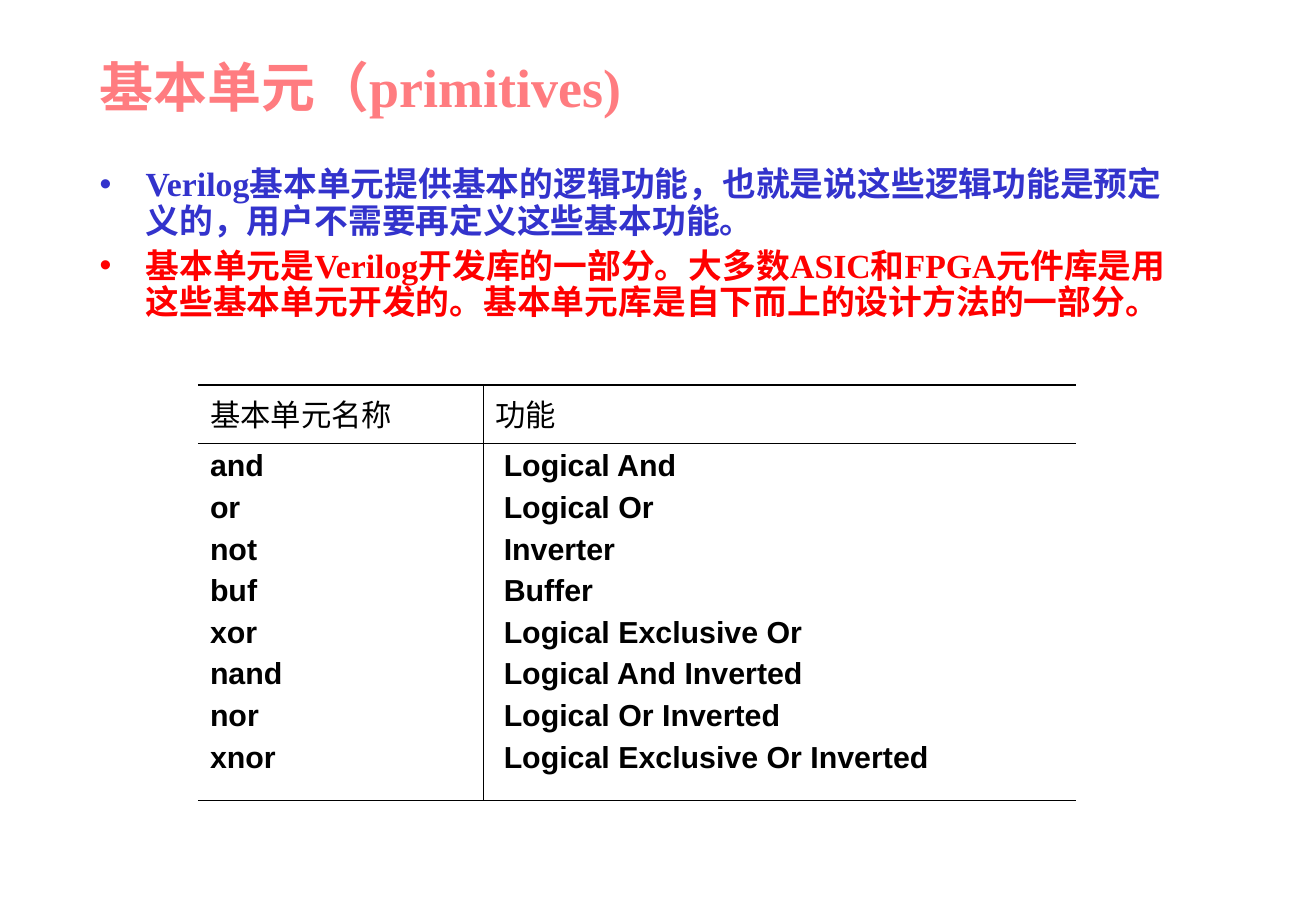
from dataclasses import dataclass

from lxml import etree
from pptx import Presentation
from pptx import util as u
from pptx.dml.color import RGBColor
from pptx.enum import text
from pptx.oxml import ns


@dataclass(frozen=True)
class Theme:
    serif: str = "Times New Roman"
    sans: str = "Arial"
    title_color: str = "FF7C80"
    blue: str = "3333CC"
    red: str = "FF0000"
    black: str = "000000"
    title_size: int = 32
    body_size: int = 20
    table_size: int = 18
    thin_line: float = 0.45
    thick_line: float = 1.08


@dataclass(frozen=True)
class Bullet:
    words: str
    color: str


@dataclass(frozen=True)
class TextStyle:
    font: str
    size: int
    color: str
    bold: bool = True


@dataclass(frozen=True)
class Primitive:
    name: str
    function: str


THEME = Theme()
TITLE_STYLE = TextStyle(THEME.serif, THEME.title_size, THEME.title_color)
HEADER_STYLE = TextStyle(THEME.serif, THEME.table_size, THEME.black, bold=False)
ENTRY_STYLE = TextStyle(THEME.sans, THEME.table_size, THEME.black)

BULLETS = [
    Bullet("Verilog基本单元提供基本的逻辑功能，也就是说这些逻辑功能是预定义的，"
           "用户不需要再定义这些基本功能。", THEME.blue),
    Bullet("基本单元是Verilog开发库的一部分。大多数ASIC和FPGA元件库是用这些基本单元开发的。"
           "基本单元库是自下而上的设计方法的一部分。", THEME.red),
]
PRIMITIVES = [
    Primitive("and", "Logical And"),
    Primitive("or", "Logical Or"),
    Primitive("not", "Inverter"),
    Primitive("buf", "Buffer"),
    Primitive("xor", "Logical Exclusive Or"),
    Primitive("nand", "Logical And Inverted"),
    Primitive("nor", "Logical Or Inverted"),
    Primitive("xnor", "Logical Exclusive Or Inverted"),
]


def place(shape, left: float, top: float, width: float, height: float) -> None:
    shape.left, shape.top = u.Inches(left), u.Inches(top)
    shape.width, shape.height = u.Inches(width), u.Inches(height)


def add_run(paragraph, words: str, style: TextStyle) -> None:
    run = paragraph.add_run()
    run.text = words
    run.font.name = style.font
    run.font.size = u.Pt(style.size)
    run.font.bold = style.bold
    run.font.color.rgb = RGBColor.from_string(style.color)


def next_paragraph(frame, index: int, space_before: float):
    paragraph = frame.add_paragraph() if index else frame.paragraphs[0]
    paragraph.space_before = u.Pt(space_before if index else 0)
    return paragraph


def set_bullet(paragraph, color: str, indent: float) -> None:
    properties = paragraph._p.get_or_add_pPr()
    properties.set("marL", str(u.Inches(indent)))
    properties.set("indent", str(-u.Inches(indent)))
    bullet_color = etree.SubElement(properties, ns.qn("a:buClr"))
    etree.SubElement(bullet_color, ns.qn("a:srgbClr"), val=color)
    etree.SubElement(properties, ns.qn("a:buChar"), char="•")


def set_borders(cell, widths: dict[str, float]) -> None:
    properties = cell._tc.get_or_add_tcPr()
    for side in "LRTB":
        width = widths.get(side, 0)
        line = etree.SubElement(properties, ns.qn(f"a:ln{side}"), w=str(u.Pt(width)))
        if width:
            fill = etree.SubElement(line, ns.qn("a:solidFill"))
            etree.SubElement(fill, ns.qn("a:srgbClr"), val=THEME.black)
        else:
            etree.SubElement(line, ns.qn("a:noFill"))


def fill_cell(cell, lines: list[str], style: TextStyle,
              borders: dict[str, float], left_margin: float = 0.1) -> None:
    set_borders(cell, borders)
    cell.fill.background()
    cell.margin_left, cell.margin_right = u.Inches(left_margin), u.Inches(0.1)
    cell.margin_top = cell.margin_bottom = u.Inches(0.05)
    for index, words in enumerate(lines):
        add_run(next_paragraph(cell.text_frame, index, 4.5), words, style)


def add_title(slide) -> None:
    title = slide.shapes.title
    place(title, 0.72, 0.08, 10.11, 1.25)
    frame = title.text_frame
    frame.auto_size = text.MSO_AUTO_SIZE.NONE
    frame.vertical_anchor = text.MSO_ANCHOR.MIDDLE
    frame.paragraphs[0].alignment = text.PP_ALIGN.LEFT
    add_run(frame.paragraphs[0], "基本单元（primitives)", TITLE_STYLE)


def add_bullets(slide) -> None:
    body = slide.placeholders[1]
    place(body, 0.72, 1.33, 9.21, 1.42)
    frame = body.text_frame
    frame.auto_size = text.MSO_AUTO_SIZE.NONE
    for index, bullet in enumerate(BULLETS):
        paragraph = next_paragraph(frame, index, 5)
        set_bullet(paragraph, bullet.color, 0.38)
        paragraph.line_spacing = 0.9
        add_run(paragraph, bullet.words,
                TextStyle(THEME.serif, THEME.body_size, bullet.color))


def add_primitive_table(slide) -> None:
    frame = slide.shapes.add_table(2, 2, u.Inches(1.63), u.Inches(3.17),
                                   u.Inches(7.23), u.Inches(3.42))
    table = frame.table
    table.first_row = table.horz_banding = False
    for column, width in zip(table.columns, (2.35, 4.88)):
        column.width = u.Inches(width)
    for row, height in zip(table.rows, (0.48, 2.94)):
        row.height = u.Inches(height)

    # Heavy rules above and below, thin rules inside
    header_rules = {"T": THEME.thick_line, "B": THEME.thin_line}
    entry_rules = {"T": THEME.thin_line, "B": THEME.thick_line}
    names = [primitive.name for primitive in PRIMITIVES]
    functions = [primitive.function for primitive in PRIMITIVES]
    columns = [("基本单元名称", names, "R", 0.1), ("功能", functions, "L", 0.17)]
    for index, (heading, entries, inner_side, margin) in enumerate(columns):
        divider = {inner_side: THEME.thin_line}
        fill_cell(table.cell(0, index), [heading], HEADER_STYLE, header_rules | divider)
        fill_cell(table.cell(1, index), entries, ENTRY_STYLE, entry_rules | divider, margin)


def main() -> None:
    presentation = Presentation()
    presentation.slide_width = u.Inches(10.84)
    presentation.slide_height = u.Inches(7.5)
    slide = presentation.slides.add_slide(presentation.slide_layouts[1])
    add_title(slide)
    add_bullets(slide)
    add_primitive_table(slide)
    presentation.save("out.pptx")


if __name__ == "__main__":
    main()
